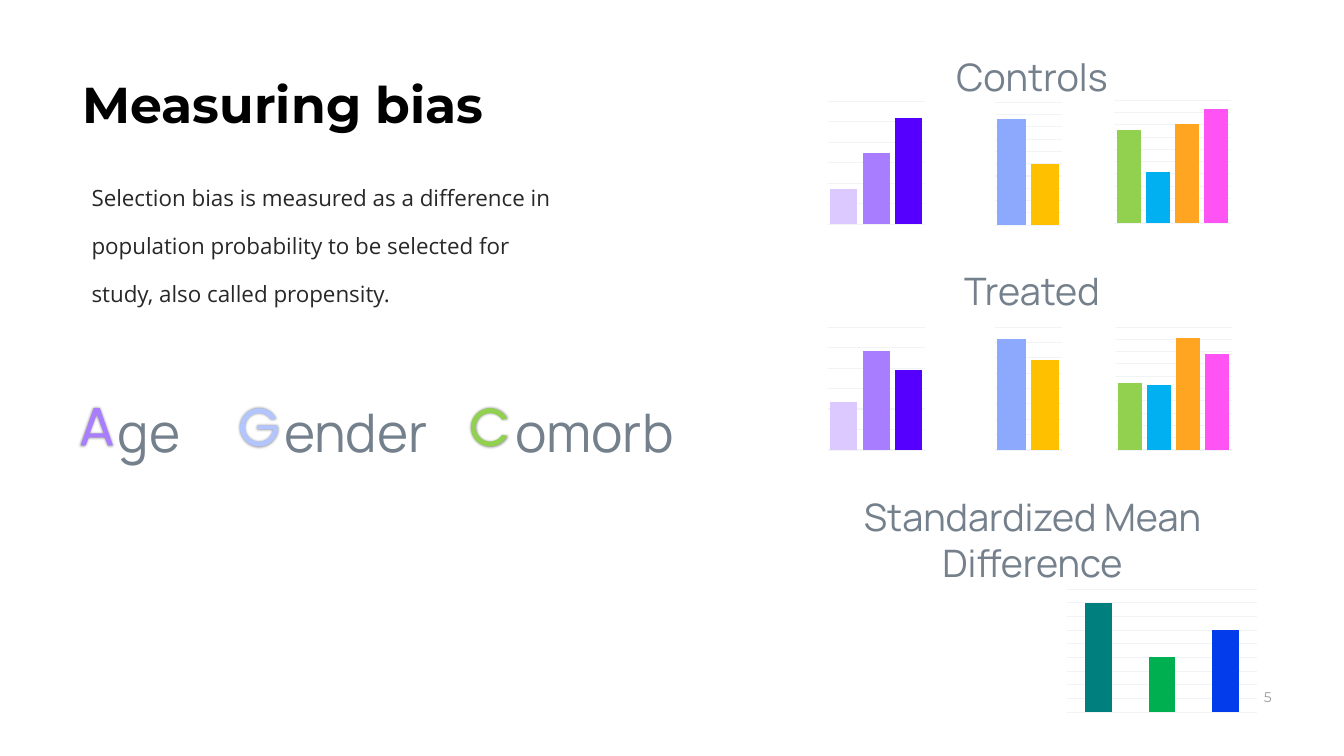
from math import cos, radians, sin

from lxml import etree
from pptx import Presentation
from pptx.chart.data import CategoryChartData
from pptx.dml.color import RGBColor
from pptx.enum.chart import XL_CHART_TYPE
from pptx.enum.text import MSO_AUTO_SIZE, PP_ALIGN
from pptx.oxml.ns import qn
from pptx.util import Inches, Pt

COLUMNS = XL_CHART_TYPE.COLUMN_CLUSTERED
GROW, FIXED = MSO_AUTO_SIZE.SHAPE_TO_FIT_TEXT, MSO_AUTO_SIZE.NONE
LEFT, CENTER = PP_ALIGN.LEFT, PP_ALIGN.CENTER


class Theme:
    heading_font, label_font, body_font, chart_font = "Montserrat", "Manrope", "Open Sans", "Arial"
    title_size, body_size, word_size, label_size, small_size = 36, 16, 38, 27, 10
    black, ink, slate, gray, grid = "000000", "292829", "74808C", "9B9A9C", "F0F4F7"
    age = ["DBC9FF", "A97DFF", "5500FE"]
    gender = ["8CA9FE", "FFC000"]
    comorb = ["92D050", "00B0F0", "FFA521", "FF53F3"]
    difference = ["007F7F", "00B050", "023CEB"]
    initials = {"A": "A97DFF", "G": "B3C5FE", "C": "92D050"}


deck = Presentation()
deck.slide_width, deck.slide_height = Inches(13.33), Inches(7.5)
page = deck.slides.add_slide(deck.slide_layouts[6])


def add_text(text, area, font, size, color, align=LEFT, wrap=True, inset=None, fit=GROW):
    box = page.shapes.add_textbox(*map(Inches, area))
    frame = box.text_frame
    frame.word_wrap = wrap
    frame.auto_size = fit
    if inset is not None:
        frame.margin_left = frame.margin_right = Inches(inset)
        frame.margin_top = frame.margin_bottom = Inches(inset)
    para = frame.paragraphs[0]
    para.text = text
    para.alignment = align
    para.font.name = font
    para.font.size = Pt(size)
    para.font.color.rgb = RGBColor.from_string(color)
    return para


def add_bars(area, values, colors, top, steps, gap=20):
    """Draw a bare column chart whose axis runs from 0 to top in equal steps."""
    data = CategoryChartData()
    data.categories = [str(number) for number in range(1, len(values) + 1)]
    data.add_series("Series 1", values)
    chart = page.shapes.add_chart(COLUMNS, *map(Inches, area), data).chart
    chart.has_legend = chart.has_title = False
    chart.font.name = Theme.chart_font
    chart.font.size = Pt(Theme.small_size)
    chart.font.color.rgb = RGBColor.from_string(Theme.black)
    chart.category_axis.visible = False
    axis = chart.value_axis
    axis.visible = False
    axis.minimum_scale, axis.maximum_scale = 0, top
    axis.major_unit = top / steps
    axis.has_major_gridlines = True
    grid = axis.major_gridlines.format.line
    grid.color.rgb = RGBColor.from_string(Theme.grid)
    grid.width = Pt(0)
    plot = chart.plots[0]
    plot.gap_width = gap
    plot.vary_by_categories = False
    series = plot.series[0]
    series.format.fill.solid()
    series.format.fill.fore_color.rgb = RGBColor.from_string(colors[0])
    for index, color in enumerate(colors):
        fill = series.points[index].format.fill
        fill.solid()
        fill.fore_color.rgb = RGBColor.from_string(color)


# Page number
add_text("5", (12.33, 6.81, 0.49, 0.21), Theme.heading_font, Theme.small_size,
         Theme.gray, CENTER, inset=0.02)

# Initials: the round letters are rings with an opening on the right
arcs = {}
for letter, center_x, end in (("G", 2.57, 354), ("C", 4.86, 334)):
    for side, radius, first, last in (("outer", 0.19, 26, end),
                                      ("inner", 0.14, 33, 352 if letter == "G" else 327)):
        angles = [radians(first + (last - first) * step / 40) for step in range(41)]
        arcs[letter, side] = [(center_x + radius * cos(angle), 4.24 - radius * sin(angle))
                              for angle in angles]
crossbar = [(2.75, 4.22), (2.55, 4.22), (2.55, 4.26)]
outlines = {
    "A": [[(0.96, 4.11), (0.89, 4.3), (1.03, 4.3)],
          [(0.93, 4.05), (0.99, 4.05), (1.12, 4.42), (1.07, 4.42),
           (1.04, 4.34), (0.88, 4.34), (0.85, 4.42), (0.8, 4.42)]],
    "G": [arcs["G", "outer"] + crossbar + arcs["G", "inner"][::-1]],
    "C": [arcs["C", "outer"] + arcs["C", "inner"][::-1]],
}
for letter, contours in outlines.items():
    builder = None
    for contour in contours:
        start, *rest = [(Inches(x), Inches(y)) for x, y in contour]
        if builder is None:
            builder = page.shapes.build_freeform(*start)
        else:
            builder.move_to(*start)
        builder.add_line_segments(rest, close=True)
    initial = builder.convert_to_shape()
    initial.fill.solid()
    initial.fill.fore_color.rgb = RGBColor.from_string(Theme.initials[letter])
    initial.line.fill.background()
    initial.shadow.inherit = False
    effects = initial._element.spPr.find(qn("a:effectLst"))
    shadow = etree.SubElement(effects, qn("a:outerShdw"), blurRad=str(Pt(2)), dist="0", dir="0")
    shade = etree.SubElement(shadow, qn("a:srgbClr"), val=Theme.black)
    etree.SubElement(shade, qn("a:alpha"), val="50000")

for ending, left, width in (("ge", 1.07, 0.89), ("ender", 2.72, 1.76), ("omorb", 5.01, 1.99)):
    add_text(ending, (left, 3.91, width, 0.74), Theme.label_font, Theme.word_size,
             Theme.slate, wrap=False)

# Distributions of each group: place, values, colours, axis top, axis steps
add_bars((9.85, 0.99, 0.7, 1.27), [100, 58], Theme.gender, 116, 10)
add_bars((8.19, 0.98, 1, 1.27), [33, 67, 100], Theme.age, 116, 6)
add_bars((11.03, 0.97, 1.2, 1.27), [82, 45, 87, 100], Theme.comorb, 108, 10)
add_bars((9.85, 3.22, 0.7, 1.27), [100, 81], Theme.gender, 111, 8)
add_bars((8.19, 3.22, 1, 1.27), [48, 100, 81], Theme.age, 124, 6)
add_bars((11.04, 3.22, 1.2, 1.27), [60, 58, 100, 86], Theme.comorb, 110, 10)
add_bars((10.54, 5.82, 1.97, 1.27), [100, 50, 75], Theme.difference, 112.5, 9, gap=139)

for label, area, wrap in (("Controls", (9.34, 0.48, 1.79, 0.56), False),
                          ("Treated", (9.4, 2.61, 1.67, 0.56), False),
                          ("Standardized Mean Difference", (8.13, 4.85, 4.22, 1.01), True)):
    add_text(label, area, Theme.label_font, Theme.label_size, Theme.slate, CENTER, wrap)

# Title and explanation
title = add_text("Measuring bias", (0.8, 0.71, 4.29, 0.87), Theme.heading_font,
                 Theme.title_size, Theme.black, inset=0.02, fit=FIXED)
title.font.bold = True
body = add_text("Selection bias is measured as a difference in population probability "
                "to be selected for study, also called propensity.",
                (0.81, 1.56, 4.83, 1.49), Theme.body_font, Theme.body_size, Theme.ink)
body.line_spacing = 1.8

deck.save("out.pptx")
